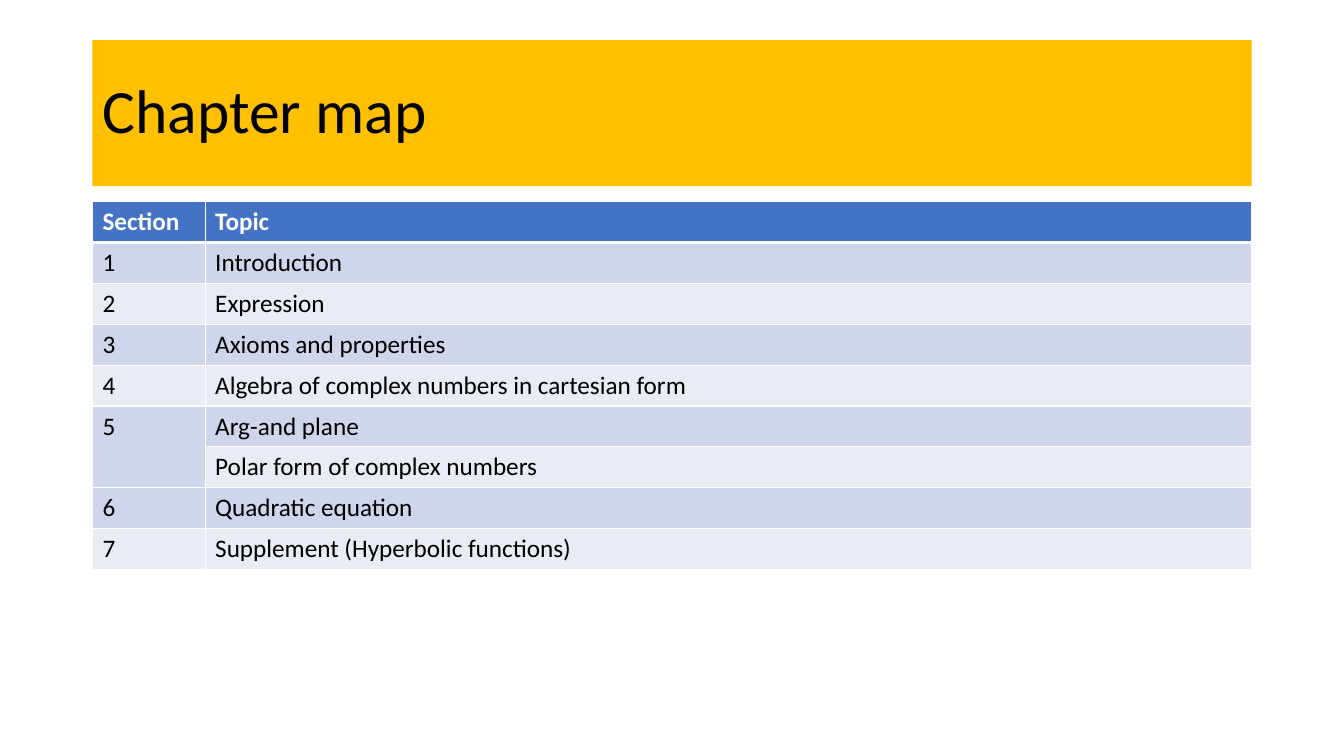
"""Build the chapter map slide: a title band above a table of sections."""
from lxml.etree import SubElement
from pptx import Presentation
from pptx.dml.color import RGBColor
from pptx.enum.text import MSO_ANCHOR, PP_ALIGN
from pptx.oxml.ns import qn
from pptx.util import Cm, Pt

TITLE = "Chapter map"
ROWS = [
    ("Section", "Topic"),
    ("1", "Introduction"),
    ("2", "Expression"),
    ("3", "Axioms and properties"),
    ("4", "Algebra of complex numbers in cartesian form"),
    ("5", "Arg-and plane"),
    ("", "Polar form of complex numbers"),
    ("6", "Quadratic equation"),
    ("7", "Supplement (Hyperbolic functions)"),
]
FONT = "Calibri"
GOLD, BLUE, WHITE, BLACK = "FFC000", "4472C4", "FFFFFF", "000000"
BANDS = ("E9EBF5", "CFD5EA")
LEFT, WIDTH = Cm(2.33), Cm(29.21)
COLS = (Cm(2.84), Cm(26.37))
HIGH = Cm(1.03)


def paint(fill, color):
    fill.solid()
    fill.fore_color.rgb = RGBColor.from_string(color)


def style(para, size, color, bold=False):
    font = para.font
    font.name, font.size, font.bold = FONT, Pt(size), bold
    font.color.rgb = RGBColor.from_string(color)


def edge(cell, side, width):
    line = SubElement(cell._tc.get_or_add_tcPr(), qn(f"a:ln{side}"), w=str(Pt(width)))
    fill = SubElement(line, qn("a:solidFill"))
    SubElement(fill, qn("a:srgbClr"), val=WHITE)


def add_title(slide):
    title = slide.shapes.title
    title.left, title.top, title.width, title.height = LEFT, Cm(1.01), WIDTH, Cm(3.68)
    paint(title.fill, GOLD)
    frame = title.text_frame
    frame.text, frame.word_wrap = TITLE, True
    frame.vertical_anchor = MSO_ANCHOR.MIDDLE
    para = frame.paragraphs[0]
    para.alignment, para.line_spacing = PP_ALIGN.LEFT, 0.9
    style(para, 44, BLACK)


def add_map(slide):
    frame = slide.shapes.add_table(
        len(ROWS), len(COLS), LEFT, Cm(5.08), WIDTH, HIGH * len(ROWS))
    table = frame.table
    for col, width in zip(table.columns, COLS):
        col.width = width
    for r, texts in enumerate(ROWS):
        head = r == 0
        for c, text in enumerate(texts):
            cell = table.cell(r, c)
            cell.text = text
            style(cell.text_frame.paragraphs[0], 18, WHITE if head else BLACK, head)
            for side in "LRTB":
                thick = (r, side) in ((0, "B"), (1, "T"))
                edge(cell, side, 3 if thick else 1)
            paint(cell.fill, BLUE if head else BANDS[r % 2])
        if not texts[0]:
            table.cell(r - 1, 0).merge(table.cell(r, 0))


def main():
    deck = Presentation()
    deck.slide_width, deck.slide_height = Cm(33.87), Cm(19.05)
    slide = deck.slides.add_slide(deck.slide_layouts[5])
    add_title(slide)
    add_map(slide)
    deck.save("out.pptx")


if __name__ == "__main__":
    main()
